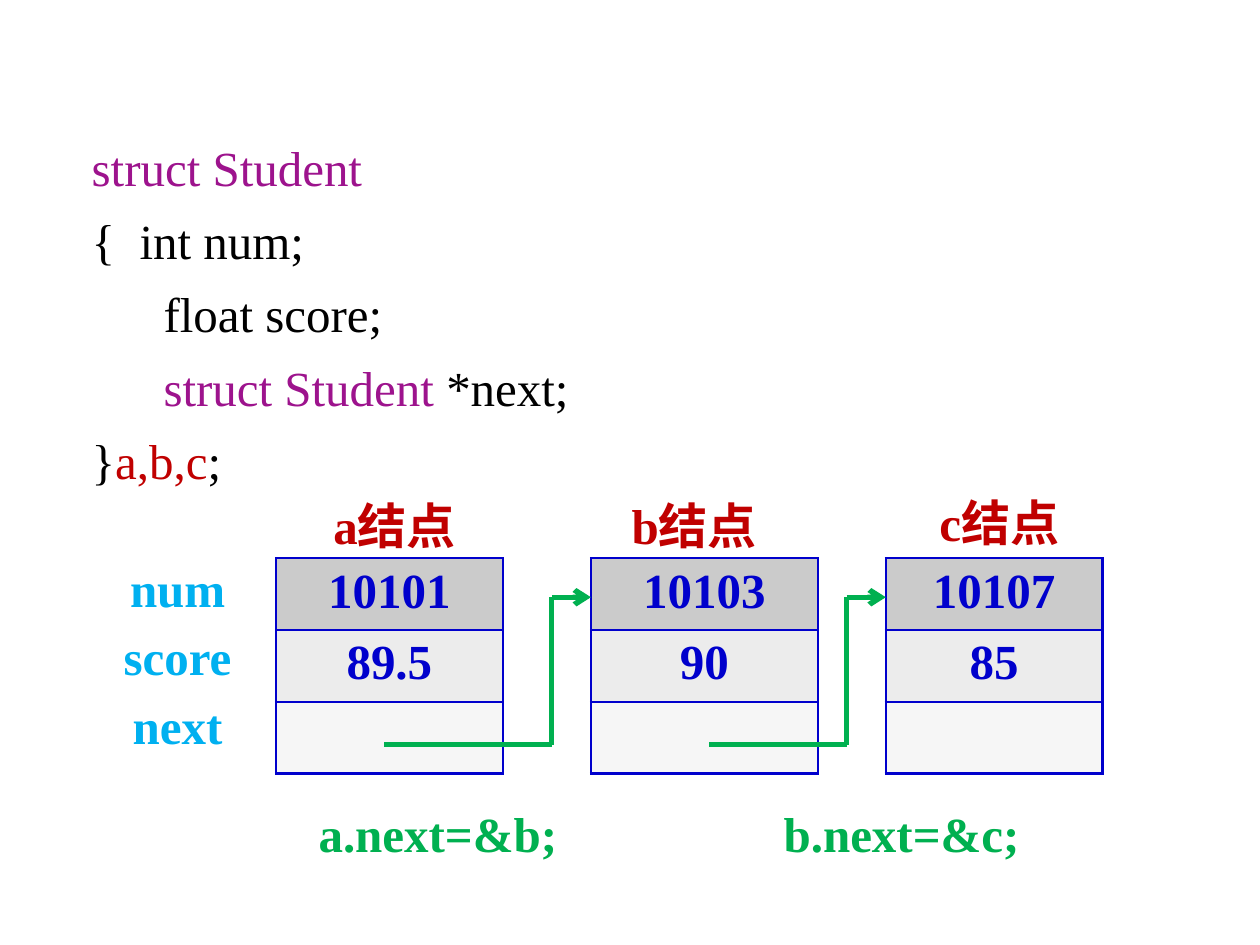
"""Build a slide that shows a linked list of three student nodes."""
from lxml.etree import SubElement
from pptx import Presentation
from pptx.dml.color import RGBColor
from pptx.enum.shapes import MSO_CONNECTOR
from pptx.enum.text import PP_ALIGN
from pptx.oxml.ns import qn
from pptx.util import Inches, Pt

HUES = {
    "code": "000000", "type": "9D138D", "node": "C00000", "link": "00B050",
    "field": "00B0F0", "data": "0000CC",
}
FILLS = ["CBCBCB", "ECECEC", "F6F6F6"]
CODE = [
    (0.38, [("struct Student", "type")]),
    (0.38, [("{\tint num;", "code")]),
    (0.57, [("float score;", "code")]),
    (0.57, [("struct Student ", "type"), ("*next;", "code")]),
    (0.38, [("}", "code"), ("a,b,c", "node"), (";", "code")]),
]
NODES = [
    (2.19, 1.8, ["10101", "89.5", ""]),
    (4.69, 1.8, ["10103", "90", ""]),
    (7.03, 1.72, ["10107", "85", ""]),
]
LABELS = [
    ("a结点", 2.27, 3.88, 1.72, "node"),
    ("b结点", 4.69, 3.88, 1.64, "node"),
    ("c结点", 7.19, 3.86, 1.48, "node"),
    ("a.next=&b;", 1.95, 6.33, 3.05, "link"),
    ("b.next=&c;", 5.63, 6.33, 3.05, "link"),
]
FIELDS = ["num", "score", "next"]
LINKS = [(3.05, 4.38, 4.69), (5.63, 6.72, 7.03)]
TOP, ROW, HEAD, FOOT = 4.43, 0.57, 4.74, 5.91


def color(name):
    return RGBColor.from_string(HUES[name])


def style(para, hue=None):
    para.font.name = "Times New Roman"
    para.font.size = Pt(28)
    if hue:
        para.font.bold = True
        para.font.color.rgb = color(hue)
        para.alignment = PP_ALIGN.CENTER


def add_box(slide, left, top, width, height):
    box = slide.shapes.add_textbox(
        Inches(left), Inches(top), Inches(width), Inches(height))
    box.text_frame.word_wrap = True
    return box.text_frame


def add_label(slide, text, left, top, width, hue):
    para = add_box(slide, left, top, width, ROW).paragraphs[0]
    para.text = text
    style(para, hue)


def add_code(slide):
    frame = add_box(slide, 0.63, 1.02, 6.8, 3.12)
    for num, (left, parts) in enumerate(CODE):
        para = frame.add_paragraph() if num else frame.paragraphs[0]
        style(para)
        para.space_before = Pt(7)
        para.line_spacing = 1.04
        props = para._p.get_or_add_pPr()
        props.set("marL", str(Inches(left)))
        props.set("indent", str(Inches(-0.38) if left == 0.38 else 0))
        for text, hue in parts:
            run = para.add_run()
            run.text = text
            run.font.color.rgb = color(hue)


def add_edges(cell):
    props = cell._tc.get_or_add_tcPr()
    for num, side in enumerate(["lnL", "lnR", "lnT", "lnB"]):
        line = props.makeelement(qn(f"a:{side}"), {"w": str(Pt(1.47))})
        fill = SubElement(line, qn("a:solidFill"))
        SubElement(fill, qn("a:srgbClr"), val=HUES["data"])
        props.insert(num, line)


def add_node(slide, left, width, values):
    table = slide.shapes.add_table(
        len(values), 1, Inches(left), Inches(TOP),
        Inches(width), Inches(ROW * len(values))).table
    for num, (value, fill) in enumerate(zip(values, FILLS)):
        cell = table.cell(num, 0)
        cell.fill.solid()
        cell.fill.fore_color.rgb = RGBColor.from_string(fill)
        add_edges(cell)
        cell.text = value
        style(cell.text_frame.paragraphs[0], "data")


def add_line(slide, start, end, arrow=False):
    line = slide.shapes.add_connector(
        MSO_CONNECTOR.STRAIGHT, *map(Inches, start + end))
    line.line.color.rgb = color("link")
    line.line.width = Pt(3)
    if arrow:
        SubElement(line.line._get_or_add_ln(), qn("a:tailEnd"), type="arrow")
    SubElement(line._element.spPr, qn("a:effectLst"))


def add_link(slide, start, bend, end):
    add_line(slide, (start, FOOT), (bend, FOOT))
    add_line(slide, (bend, FOOT), (bend, HEAD))
    add_line(slide, (bend, HEAD), (end, HEAD), arrow=True)


def main():
    deck = Presentation()
    deck.slide_width, deck.slide_height = Inches(10), Inches(7.5)
    slide = deck.slides.add_slide(deck.slide_layouts[6])
    add_code(slide)
    for node in NODES:
        add_node(slide, *node)
    for label in LABELS:
        add_label(slide, *label)
    for num, field in enumerate(FIELDS):
        add_label(slide, field, 0.63, 4.38 + 0.545 * num, 1.56, "field")
    for link in LINKS:
        add_link(slide, *link)
    deck.save("out.pptx")


if __name__ == "__main__":
    main()
